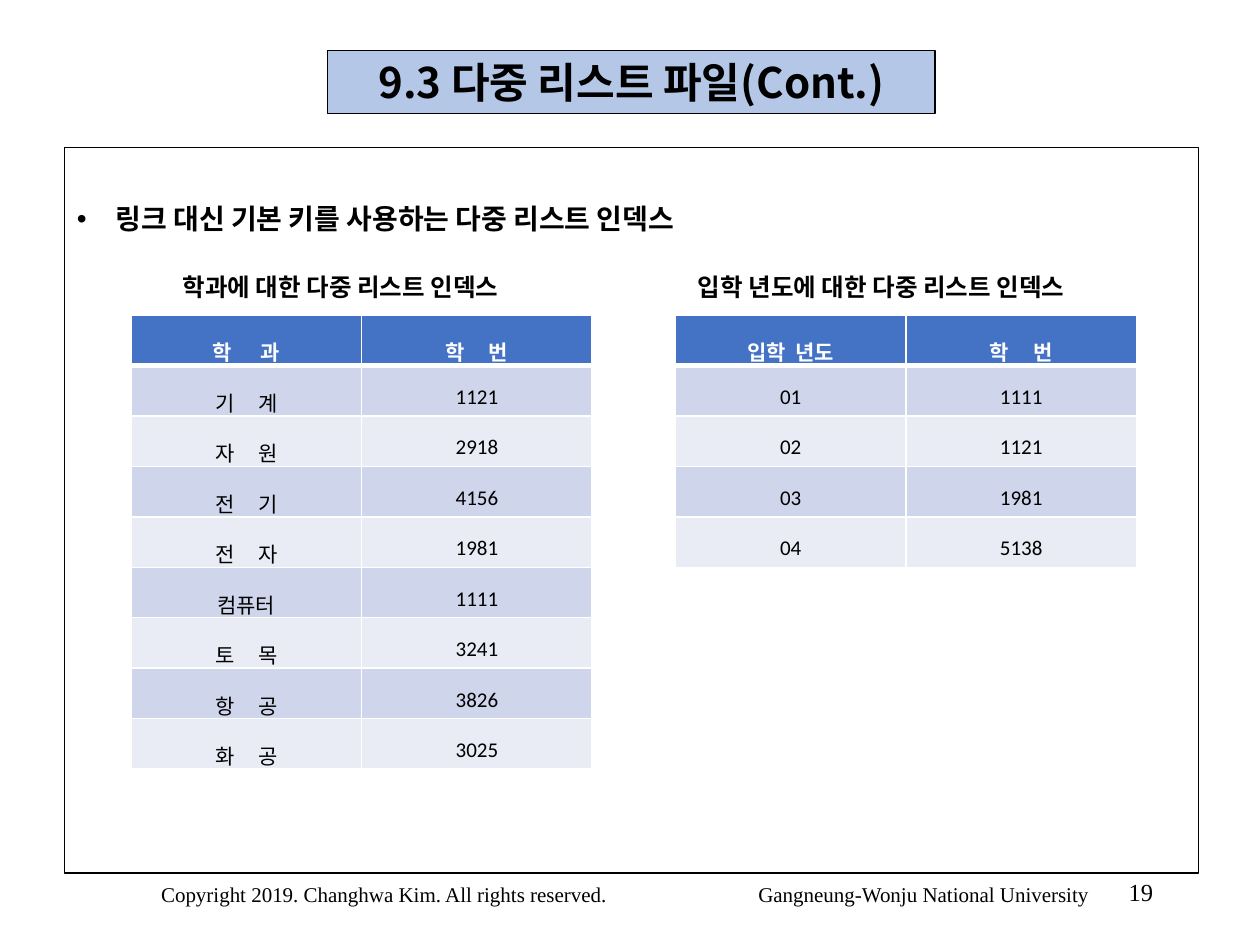
from lxml import etree
from pptx import Presentation
from pptx.dml.color import RGBColor
from pptx.enum import text as t
from pptx.oxml import ns
from pptx.util import Inches, Pt

KOREAN, LATIN, SERIF = "Noto Sans CJK KR", "Calibri", "Times New Roman"
BLACK, WHITE, HEADER = "000000", "FFFFFF", "4472C4"
BANDS = ("CFD5EA", "E9EBF5")
TITLE = "9.3 다중 리스트 파일(Cont.)"
BULLET = "링크 대신 기본 키를 사용하는 다중 리스트 인덱스"
FOOTER = "Copyright 2019. Changhwa Kim. All rights reserved.\tGangneung-Wonju National University"
TABLES = [
    {"caption": "학과에 대한 다중 리스트 인덱스", "caption_at": (1.35, 2.11, 3.01, 0.34), "left": 1.04,
     "gaps": (13.5, 11),
     "rows": [("학 과", "학 번"), ("기 계", "1121"), ("자 원", "2918"), ("전 기", "4156"),
              ("전 자", "1981"), ("컴퓨터", "1111"), ("토 목", "3241"), ("항 공", "3826"),
              ("화 공", "3025")]},
    {"caption": "입학 년도에 대한 다중 리스트 인덱스", "caption_at": (5.44, 2.11, 3.47, 0.34), "left": 5.36,
     "gaps": (2.7, 11),
     "rows": [("입학 년도", "학 번"), ("01", "1111"), ("02", "1121"), ("03", "1981"), ("04", "5138")]},
]
TABLE_TOP, COLUMN_WIDTH, ROW_HEIGHT = 2.5, 1.83, 0.4


def color(value):
    return RGBColor.from_string(value)


def add_run(paragraph, content, size, font, fill=BLACK, bold=False, spacing=0):
    run = paragraph.add_run()
    run.text = content
    run.font.size, run.font.name, run.font.bold = Pt(size), font, bold
    run.font.color.rgb = color(fill)
    properties = run.font._element
    if font == KOREAN:
        etree.SubElement(properties, ns.qn("a:ea"), typeface=font)
    if spacing:
        properties.set("spc", str(round(spacing * 100)))


def place(shape, left, top, width, height):
    shape.left, shape.top = Inches(left), Inches(top)
    shape.width, shape.height = Inches(width), Inches(height)


def outline(shape):
    shape.line.color.rgb = color(BLACK)
    shape.line.width = Pt(0.75)


def add_label(box, content, size, font, bold=False, wrap=True):
    shape = slide.shapes.add_textbox(*map(Inches, box))
    shape.text_frame.word_wrap = wrap
    paragraph = shape.text_frame.paragraphs[0]
    add_run(paragraph, content, size, font, bold=bold)
    return shape.text_frame, paragraph


def set_borders(cell, bottom):
    properties = cell._tc.get_or_add_tcPr()
    for index, (side, width) in enumerate((("L", 1), ("R", 1), ("T", 1), ("B", bottom))):
        line = etree.Element(ns.qn("a:ln" + side), w=str(Pt(width)))
        fill = etree.SubElement(line, ns.qn("a:solidFill"))
        etree.SubElement(fill, ns.qn("a:srgbClr"), val=WHITE)
        properties.insert(index, line)


def fill_cell(cell, content, row, gap):
    header = row == 0
    cell.fill.solid()
    cell.fill.fore_color.rgb = color(HEADER if header else BANDS[(row - 1) % 2])
    cell.vertical_anchor = t.MSO_ANCHOR.MIDDLE
    paragraph = cell.text_frame.paragraphs[0]
    paragraph.alignment = t.PP_ALIGN.CENTER
    paragraph.line_spacing = 1.5
    font_color = WHITE if header else BLACK
    first, space, second = content.partition(" ")
    for part, spacing in ((first, 0), (space, gap), (second, 0)):
        if part:
            add_run(paragraph, part, 12, LATIN, font_color, header, spacing)
    set_borders(cell, 3 if header or row == 0 else 1)


presentation = Presentation()
presentation.slide_width, presentation.slide_height = Inches(10), Inches(7.5)
slide = presentation.slides.add_slide(presentation.slide_layouts[1])

title, body = slide.placeholders
place(title, 2.6, 0.4, 4.82, 0.5)
title.fill.solid()
title.fill.fore_color.rgb = color("B4C7E7")
outline(title)
title.text_frame.word_wrap = False
title.text_frame.auto_size = t.MSO_AUTO_SIZE.NONE
title.text_frame.vertical_anchor = t.MSO_ANCHOR.MIDDLE
heading = title.text_frame.paragraphs[0]
heading.alignment = t.PP_ALIGN.CENTER
add_run(heading, TITLE, 24, KOREAN, bold=True)

place(body, 0.51, 1.17, 9, 5.76)
outline(body)
body.text_frame.auto_size = t.MSO_AUTO_SIZE.NONE
body.text_frame.margin_top = Inches(0.3)
item = body.text_frame.paragraphs[0]
item.line_spacing, item.space_before = 1.5, Pt(0)
item_properties = item._p.get_or_add_pPr()
item_properties.set("marL", str(Inches(0.31)))
item_properties.set("indent", str(Inches(-0.31)))
etree.SubElement(item_properties, ns.qn("a:buChar"), char="•")
add_run(item, BULLET, 16, KOREAN, bold=True)

for data in TABLES:
    add_label(data["caption_at"], data["caption"], 14, KOREAN, bold=True, wrap=False)
    rows = data["rows"]
    table = slide.shapes.add_table(
        len(rows), 2, Inches(data["left"]), Inches(TABLE_TOP),
        Inches(2 * COLUMN_WIDTH), Inches(ROW_HEIGHT * len(rows))).table
    for row, values in enumerate(rows):
        for column, value in enumerate(values):
            gap = data["gaps"][column] if row == 0 else 11
            fill_cell(table.cell(row, column), value, row, gap)

number_frame, number = add_label((7.17, 6.83, 2.08, 0.5), "19", 14, SERIF)
number_frame.vertical_anchor = t.MSO_ANCHOR.MIDDLE
number.alignment = t.PP_ALIGN.RIGHT

footer = add_label((1.18, 6.95, 7.71, 0.4), FOOTER, 12, SERIF)[1]
tabs = etree.SubElement(footer._p.get_or_add_pPr(), ns.qn("a:tabLst"))
etree.SubElement(tabs, ns.qn("a:tab"), pos=str(Inches(4.74)), algn="l")

presentation.save("out.pptx")
